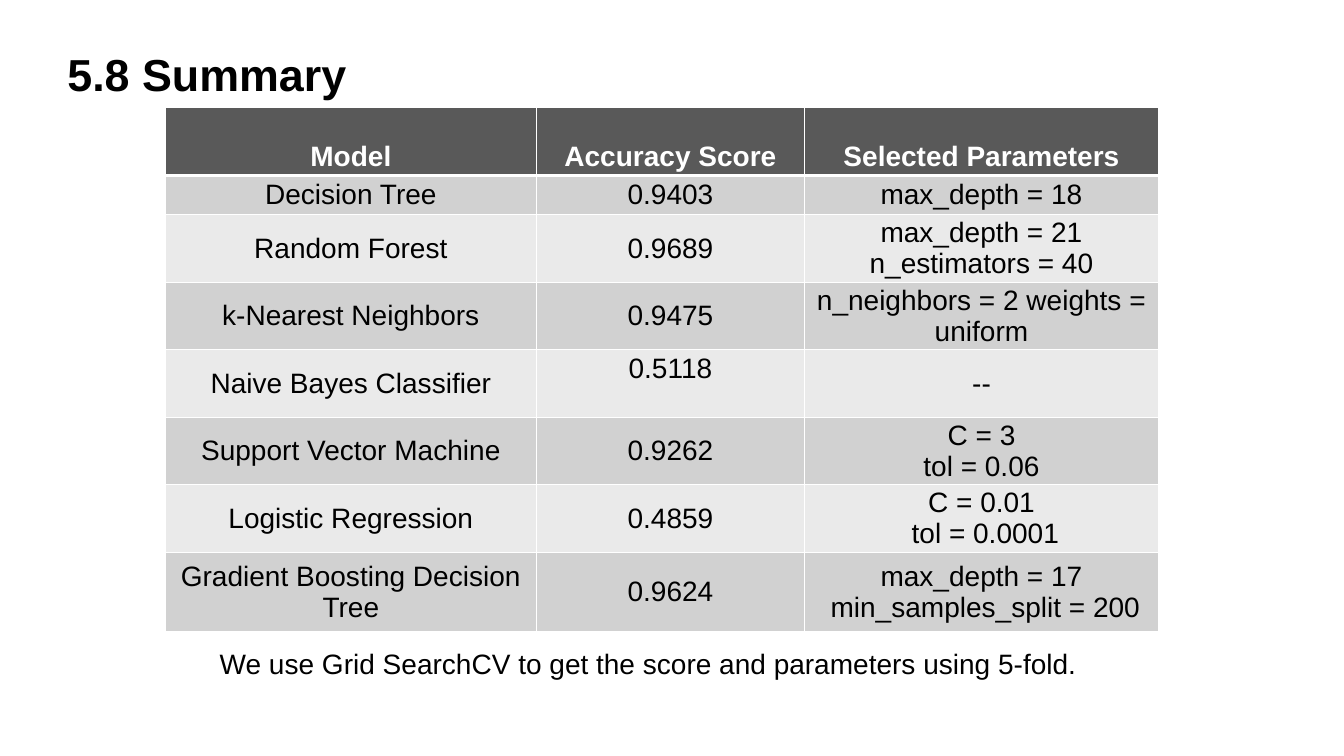
import pptx
import pptx.util
import pptx.dml.color
import pptx.enum.text
import pptx.oxml
import pptx.oxml.ns

Inches = pptx.util.Inches
Pt = pptx.util.Pt
ANCHOR = pptx.enum.text.MSO_ANCHOR
ALIGN = pptx.enum.text.PP_ALIGN

COLORS = {
    "ink": "000000",
    "paper": "FFFFFF",
    "header": "595959",
    "odd": "D1D1D1",
    "even": "EAEAEA",
}

HEADERS = ["Model", "Accuracy Score", "Selected Parameters"]
MODELS = [
    ("Decision Tree", "0.9403", "max_depth = 18"),
    ("Random Forest", "0.9689", "max_depth = 21 n_estimators = 40"),
    ("k-Nearest Neighbors", "0.9475", "n_neighbors = 2 weights = uniform"),
    ("Naive Bayes Classifier", "0.5118", "--"),
    ("Support Vector Machine", "0.9262", "C = 3\ntol = 0.06"),
    ("Logistic Regression", "0.4859", "C = 0.01\n tol = 0.0001"),
    ("Gradient Boosting Decision Tree", "0.9624",
     "max_depth = 17\n min_samples_split = 200"),
]
COL_WIDTHS = [3.68, 2.66, 3.51]
ROW_HEIGHTS = [0.67, 0.39] + [0.67] * 5 + [0.79]


class SlideBuilder:
    font = "Arial"

    def __init__(self, slide):
        self.slide = slide

    def color(self, name):
        return pptx.dml.color.RGBColor.from_string(COLORS[name])

    def add_lines(self, tf, text, size, color="ink", bold=False, align=ALIGN.LEFT):
        for i, line in enumerate(text.split("\n")):
            p = tf.add_paragraph() if i else tf.paragraphs[0]
            p.alignment = align
            r = p.add_run()
            r.text = line
            r.font.name = self.font
            r.font.size = Pt(size)
            r.font.bold = bold
            r.font.color.rgb = self.color(color)

    def text(self, left, top, width, height, text, size, bold=False, inset=0.05):
        sp = self.slide.shapes.add_textbox(
            Inches(left), Inches(top), Inches(width), Inches(height))
        tf = sp.text_frame
        tf.word_wrap = True
        tf.margin_top = Inches(inset)
        self.add_lines(tf, text, size, bold=bold)

    def borders(self, cell, widths):
        tc_pr = cell._tc.get_or_add_tcPr()
        for side, width in widths.items():
            tc_pr.append(pptx.oxml.parse_xml(
                f'<a:ln{side} {pptx.oxml.ns.nsdecls("a")} w="{Pt(width)}">'
                f'<a:solidFill><a:srgbClr val="{COLORS["paper"]}"/></a:solidFill>'
                f'</a:ln{side}>'))

    def cell(self, cell, text, row):
        header = row == 0
        self.borders(cell, {"L": 1, "R": 1,
                            "T": 3 if row == 1 else 1,
                            "B": 3 if header else 1})
        cell.fill.solid()
        fill = "header" if header else "odd" if row % 2 else "even"
        cell.fill.fore_color.rgb = self.color(fill)
        cell.margin_left = cell.margin_right = Inches(0.07)
        cell.margin_top = cell.margin_bottom = 0
        cell.vertical_anchor = ANCHOR.MIDDLE
        self.add_lines(cell.text_frame, text, 20, "paper" if header else "ink",
                       header, ALIGN.CENTER)

    def table(self, left, top, rows, widths, heights):
        table = self.slide.shapes.add_table(
            len(rows), len(widths), Inches(left), Inches(top),
            Inches(sum(widths)), Inches(sum(heights))).table
        for column, width in zip(table.columns, widths):
            column.width = Inches(width)
        for i, (values, height) in enumerate(zip(rows, heights)):
            table.rows[i].height = Inches(height)
            for j, value in enumerate(values):
                self.cell(table.cell(i, j), value, i)
        return table


def main():
    prs = pptx.Presentation()
    prs.slide_width = Inches(13.33)
    prs.slide_height = Inches(7.5)
    s = SlideBuilder(prs.slides.add_slide(prs.slide_layouts[6]))

    s.text(0.57, 0.36, 8.13, 0.94, "5.8 Summary", 32, bold=True, inset=0.1)
    s.text(2.08, 6.36, 11.18, 0.77,
           "We use Grid SearchCV to get the score and parameters using 5-fold.", 20)
    table = s.table(1.64, 1.07, [HEADERS] + MODELS, COL_WIDTHS, ROW_HEIGHTS)
    for header in table.rows[0].cells:
        header.vertical_anchor = ANCHOR.BOTTOM
        header.margin_bottom = Inches(0.03)
    bayes_score = table.cell(4, 1)
    bayes_score.vertical_anchor = ANCHOR.TOP
    bayes_score.margin_top = Inches(0.03)

    prs.save("out.pptx")


if __name__ == "__main__":
    main()
